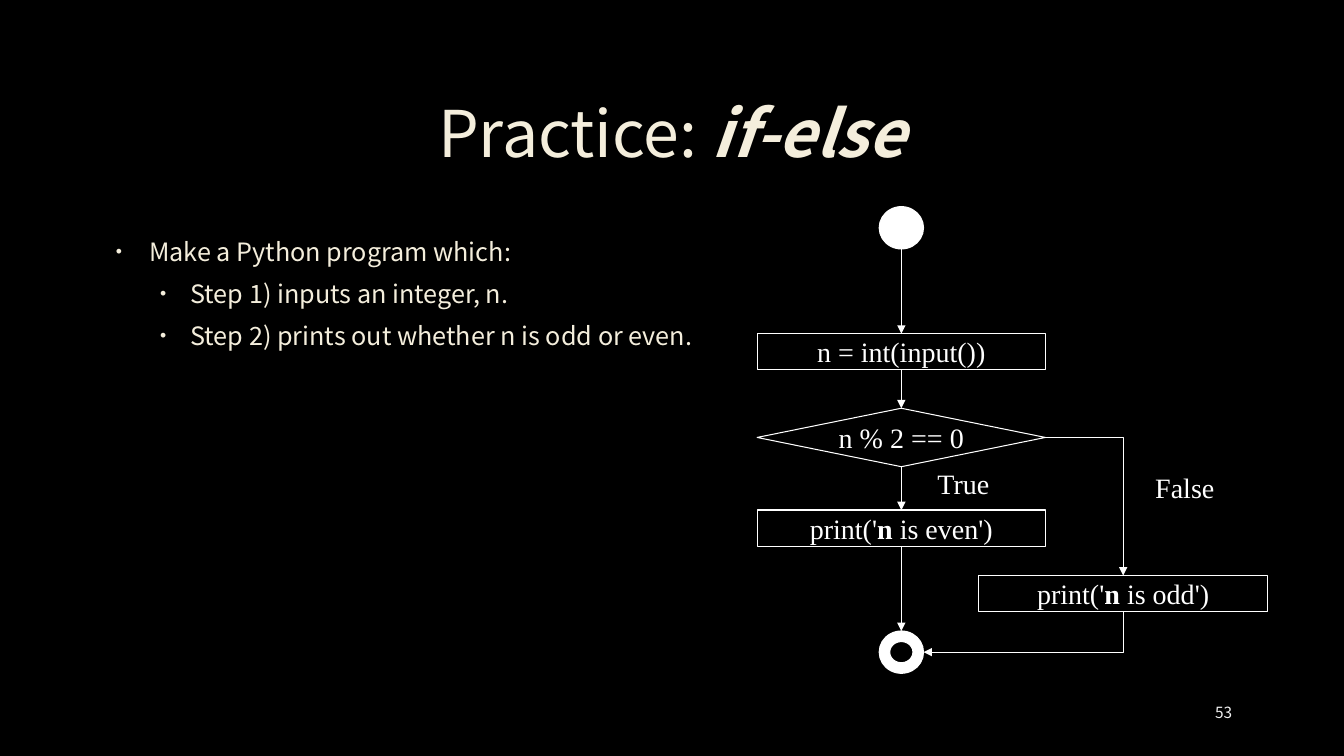
from lxml import etree
from pptx import Presentation
from pptx.dml.color import RGBColor
from pptx.enum.shapes import MSO_CONNECTOR, MSO_SHAPE
from pptx.enum.text import MSO_ANCHOR, PP_ALIGN
from pptx.oxml.ns import qn
from pptx.util import Inches, Pt

LEFT, CENTER, RIGHT = PP_ALIGN.LEFT, PP_ALIGN.CENTER, PP_ALIGN.RIGHT
TOP, MIDDLE = MSO_ANCHOR.TOP, MSO_ANCHOR.MIDDLE
RECT, DIAMOND = MSO_SHAPE.RECTANGLE, MSO_SHAPE.DIAMOND
OVAL, DONUT = MSO_SHAPE.OVAL, MSO_SHAPE.DONUT
STRAIGHT, ELBOW = MSO_CONNECTOR.STRAIGHT, MSO_CONNECTOR.ELBOW

BLACK, WHITE, CREAM, GREY = "000000", "FFFFFF", "F4EEDC", "F2F2F2"
SANS, SERIF = "Noto Sans CJK KR", "Times New Roman"
TITLE_FONT = {"name": SANS, "size": Pt(46), "color": CREAM}
BODY_FONT = {"name": SANS, "size": Pt(18), "color": CREAM}
NUMBER_FONT = {"name": SANS, "size": Pt(11), "color": GREY}
CHART_FONT = {"name": SERIF, "size": Pt(20), "color": WHITE}
STRONG = {"bold": True}
STRONG_ITALIC = {"bold": True, "italic": True}

TITLE = [("Practice: ", {}), ("if-else", STRONG_ITALIC)]
STEPS = [
    (0, "Make a Python program which:"),
    (1, "Step 1) inputs an integer, n."),
    (1, "Step 2) prints out whether n is odd or even."),
]
INDENTS = [(0.38, -0.33), (0.79, -0.3)]
PAGE_NUMBER = "53"

MAIN_X, ODD_X = 8.94, 11.14
BOX_W, BOX_H, DIAMOND_H = 2.86, 0.36, 0.58
DOT_W, DOT_H = 0.44, 0.42
NODES = {
    "start": (OVAL, MAIN_X, 2.05, DOT_W, DOT_H, []),
    "input": (RECT, MAIN_X, 3.31, BOX_W, BOX_H, [("n = int(input())", {})]),
    "test": (DIAMOND, MAIN_X, 4.05, BOX_W, DIAMOND_H, [("n % 2 == 0", {})]),
    "even": (RECT, MAIN_X, 5.06, BOX_W, BOX_H,
             [("print('", {}), ("n", STRONG), (" is even')", {})]),
    "odd": (RECT, ODD_X, 5.71, BOX_W, BOX_H,
            [("print('", {}), ("n", STRONG), (" is odd')", {})]),
    "end": (DONUT, MAIN_X, 6.26, DOT_W, DOT_H, []),
}
MAIN_FLOW = ["start", "input", "test", "even", "end"]
BRANCH_LABELS = [("True", 9.2, 4.58), ("False", 11.36, 4.62)]


def rgb(value):
    return RGBColor.from_string(value)


def add_runs(p, runs, font):
    for text, extra in runs:
        r = p.add_run()
        r.text = text
        for key, value in {**font, **extra}.items():
            if key == "color":
                r.font.color.rgb = rgb(value)
            else:
                setattr(r.font, key, value)


def add_text(s, box, runs, font, align=LEFT, anchor=TOP):
    tf = s.shapes.add_textbox(*map(Inches, box)).text_frame
    tf.word_wrap = True
    tf.vertical_anchor = anchor
    p = tf.paragraphs[0]
    p.alignment = align
    add_runs(p, runs, font)
    return tf


def add_bullet(p, level):
    p.level = level
    p.line_spacing = 1.1
    p.space_before = Pt(0)
    p.space_after = Pt(6)
    pPr = p._p.get_or_add_pPr()
    for key, value in zip(("marL", "indent"), INDENTS[level]):
        pPr.set(key, str(Inches(value)))
    color = etree.SubElement(pPr, qn("a:buClr"))
    etree.SubElement(color, qn("a:srgbClr"), val=CREAM)
    etree.SubElement(pPr, qn("a:buSzPct"), val="70000")
    etree.SubElement(pPr, qn("a:buFont"), typeface="Arial")
    etree.SubElement(pPr, qn("a:buChar"), char="•")


def add_node(s, kind, x, y, w, h, runs):
    sp = s.shapes.add_shape(kind, *map(Inches, (x - w / 2, y, w, h)))
    sp.shadow.inherit = False
    sp.line.color.rgb = rgb(WHITE)
    sp.line.width = Pt(0.75)
    if runs:
        sp.fill.background()
    else:
        sp.fill.solid()
        sp.fill.fore_color.rgb = rgb(WHITE)
    tf = sp.text_frame
    tf.word_wrap = False
    tf.vertical_anchor = MIDDLE
    tf.paragraphs[0].alignment = CENTER
    add_runs(tf.paragraphs[0], runs, CHART_FONT)


def add_arrow(s, kind, x1, y1, x2, y2):
    c = s.shapes.add_connector(kind, *map(Inches, (x1, y1, x2, y2)))
    c.line.color.rgb = rgb(WHITE)
    c.line.width = Pt(0.75)
    etree.SubElement(c.line._get_or_add_ln(), qn("a:tailEnd"), type="triangle")
    spPr = c._element.spPr
    etree.SubElement(spPr, qn("a:effectLst"))
    if kind == ELBOW:
        spPr.find(qn("a:prstGeom")).set("prst", "bentConnector2")
    return c


def add_down_then_left(s, x1, y1, x2, y2):
    cx, cy = (x1 + x2) / 2, (y1 + y2) / 2
    half_w, half_h = (y2 - y1) / 2, (x1 - x2) / 2
    c = add_arrow(s, ELBOW, cx - half_w, cy - half_h, cx + half_w, cy + half_h)
    c._element.spPr.find(qn("a:xfrm")).set("rot", str(90 * 60000))


def bottom(name):
    return NODES[name][2] + NODES[name][4]


def middle(name):
    return NODES[name][2] + NODES[name][4] / 2


prs = Presentation()
prs.slide_width, prs.slide_height = Inches(13.33), Inches(7.5)
s = prs.slides.add_slide(prs.slide_layouts[6])
s.background.fill.solid()
s.background.fill.fore_color.rgb = rgb(BLACK)

title = add_text(s, (1, 0.67, 11.32, 1.38), TITLE, TITLE_FONT, CENTER, MIDDLE)
title.paragraphs[0].line_spacing = 0.9

body = add_text(s, (1, 2.27, 7.47, 3.96), [], BODY_FONT)
for i, (level, text) in enumerate(STEPS):
    p = body.add_paragraph() if i else body.paragraphs[0]
    add_bullet(p, level)
    add_runs(p, [(text, {})], BODY_FONT)

add_text(s, (11.5, 6.93, 0.82, 0.4), [(PAGE_NUMBER, {})], NUMBER_FONT, RIGHT)

for node in NODES.values():
    add_node(s, *node)
for upper, lower in zip(MAIN_FLOW, MAIN_FLOW[1:]):
    add_arrow(s, STRAIGHT, MAIN_X, bottom(upper), MAIN_X, NODES[lower][2])
add_arrow(s, ELBOW, MAIN_X + BOX_W / 2, middle("test"), ODD_X, NODES["odd"][2])
add_down_then_left(s, ODD_X, bottom("odd"), MAIN_X + DOT_W / 2, middle("end"))
for text, x, y in BRANCH_LABELS:
    add_text(s, (x, y, 1.1, 0.44), [(text, {})], CHART_FONT)

prs.save("out.pptx")
